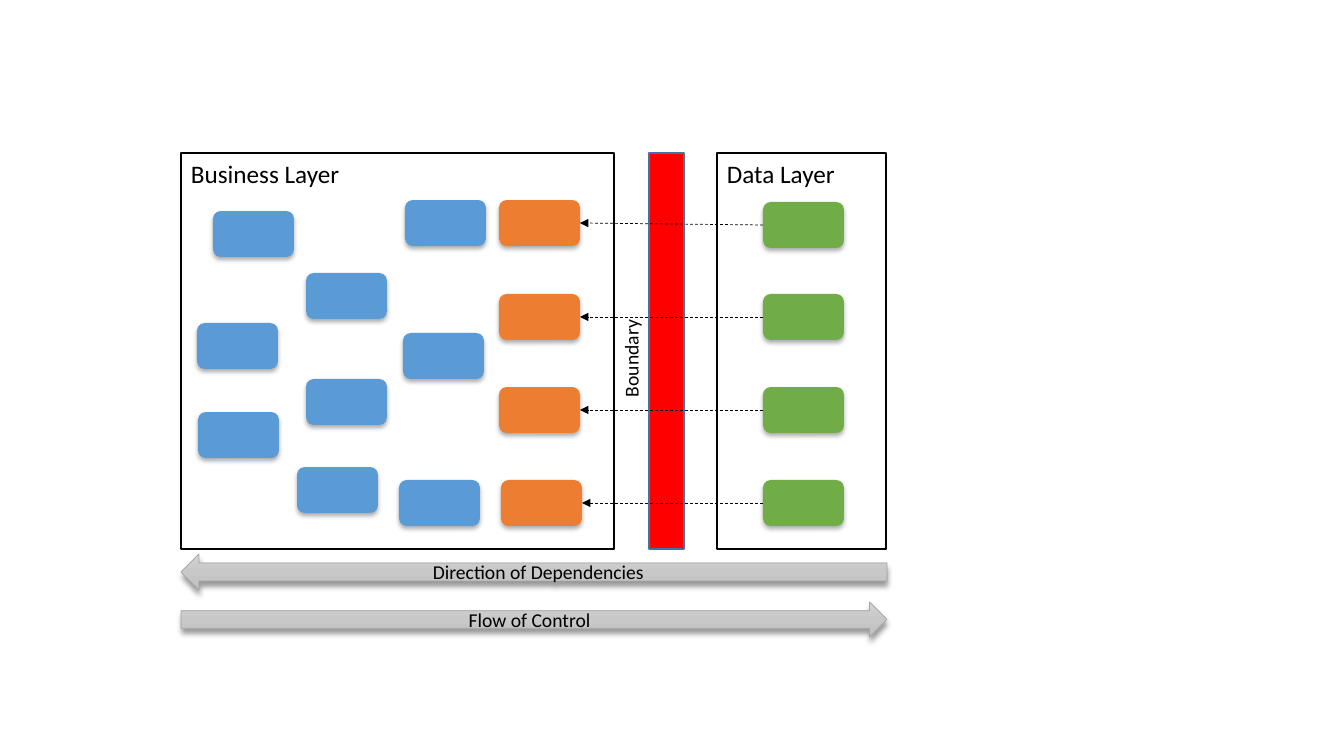
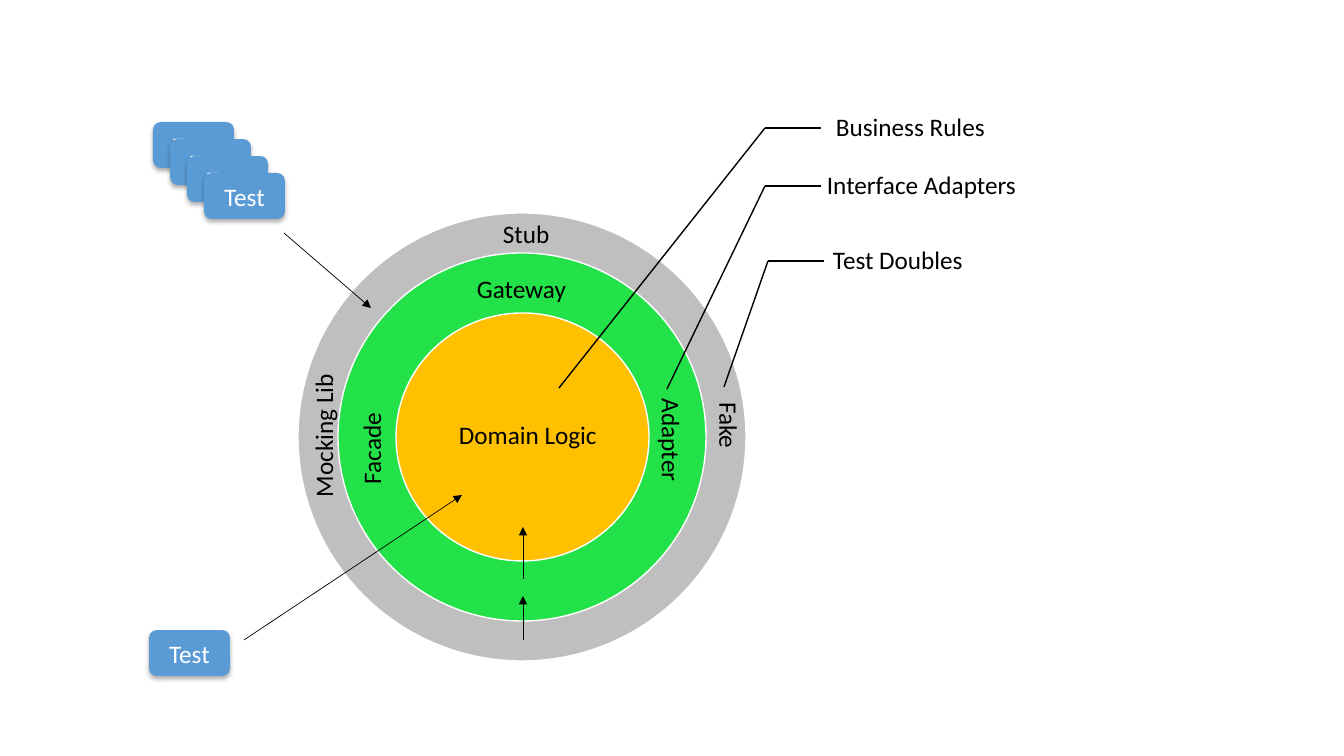
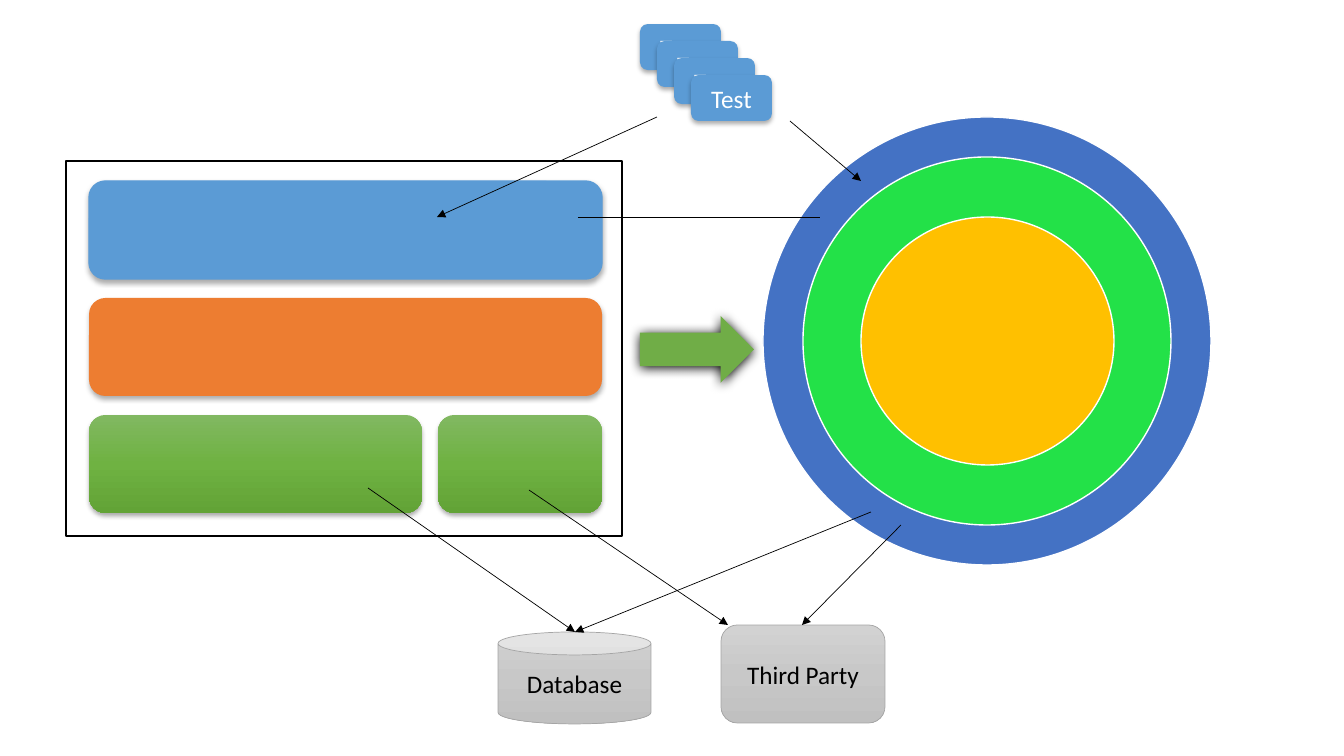
from copy import deepcopy
from dataclasses import dataclass

from lxml.etree import SubElement
from pptx import Presentation
from pptx.dml.color import RGBColor
from pptx.enum.dml import MSO_LINE
from pptx.enum.shapes import MSO_CONNECTOR, MSO_SHAPE as Preset
from pptx.enum.text import MSO_ANCHOR as Anchor, MSO_AUTO_SIZE as AutoSize, PP_ALIGN as Align
from pptx.oxml.ns import qn
from pptx.util import Pt

EMU_PER_PIXEL = 914400 / 100.8
FONT = "Calibri"
BLACK = RGBColor(0x00, 0x00, 0x00)
WHITE = RGBColor(0xFF, 0xFF, 0xFF)
BLUE = RGBColor(0x5B, 0x9B, 0xD5)
DEEP_BLUE = RGBColor(0x44, 0x72, 0xC4)
STEEL = RGBColor(0x43, 0x73, 0x9E)
ORANGE = RGBColor(0xED, 0x7D, 0x31)
GREEN = RGBColor(0x70, 0xAD, 0x47)
LIME = RGBColor(0x23, 0xE1, 0x48)
GOLD = RGBColor(0xFF, 0xC0, 0x00)
RED = RGBColor(0xFF, 0x00, 0x00)
SILVER = RGBColor(0xBF, 0xBF, 0xBF)
GRAY = RGBColor(0xA5, 0xA5, 0xA5)
GRAY_FADE = (RGBColor(0xD2, 0xD2, 0xD2), RGBColor(0xC8, 0xC8, 0xC8), RGBColor(0xC0, 0xC0, 0xC0))
GREEN_FADE = (RGBColor(0x81, 0xB8, 0x61), RGBColor(0x6F, 0xB2, 0x42), RGBColor(0x62, 0xA3, 0x36))
SOFT_SHADOW = (32, 3.5, 2.2)
ARROW_SHADOW = (40, 4, 3)
STRONG_SHADOW = (100, 8.5, 1)
CHIP_WIDTH, CHIP_HEIGHT = 81, 46


@dataclass
class Box:
    left: int
    top: int
    width: int
    height: int

    def inner(self, left, top, width, height):
        return Box(self.left + left, self.top + top, width, height)

    def point(self, left, top):
        return self.left + left, self.top + top

    def emu(self):
        return [px(n) for n in (self.left, self.top, self.width, self.height)]


def px(pixels):
    return round(pixels * EMU_PER_PIXEL)


def write(frame, text, size, color, align, anchor):
    frame.word_wrap = True
    frame.vertical_anchor = anchor
    para = frame.paragraphs[0]
    para.alignment = align
    span = para.add_run()
    span.text = text
    span.font.name = FONT
    span.font.size = Pt(size)
    span.font.color.rgb = color
    return para


def paint_gradient(shape, colors):
    shape.fill.gradient()
    shape.fill.gradient_angle = 270
    stops = shape.element.spPr.find(".//" + qn("a:gsLst"))
    stops.append(deepcopy(stops[0]))
    for stop, position, color in zip(shape.fill.gradient_stops, (0, 0.5, 1), colors):
        stop.position = position
        stop.color.rgb = color


def cast_shadow(shape, opacity, blur, distance):
    effects = shape.element.spPr.find(qn("a:effectLst"))
    outer = SubElement(effects, qn("a:outerShdw"), blurRad=str(Pt(blur)), dist=str(Pt(distance)),
                       dir="5400000", algn="ctr", rotWithShape="0")
    color = SubElement(outer, qn("a:srgbClr"), val=str(BLACK))
    SubElement(color, qn("a:alpha"), val=str(opacity * 1000))


def add_figure(page, preset, box, fill, line=None, width=1, shadow=None):
    shape = page.shapes.add_shape(preset, *box.emu())
    if isinstance(fill, RGBColor):
        shape.fill.solid()
        shape.fill.fore_color.rgb = fill
    else:
        paint_gradient(shape, fill)
    if line is None:
        shape.line.fill.background()
    else:
        shape.line.color.rgb = line
        shape.line.width = Pt(width)
    shape.shadow.inherit = False
    if shadow:
        cast_shadow(shape, *shadow)
    return shape


def add_caption(shape, text, size=18, color=BLACK):
    write(shape.text_frame, text, size, color, Align.CENTER, Anchor.MIDDLE)


def add_label(page, box, text, size=18, rotation=0):
    label = page.shapes.add_textbox(*box.emu())
    label.rotation = rotation
    write(label.text_frame, text, size, BLACK, Align.LEFT, Anchor.TOP)
    label.text_frame.auto_size = AutoSize.SHAPE_TO_FIT_TEXT
    return label


def add_line(page, start, end, width=0.5, arrow=True, dashed=False):
    line = page.shapes.add_connector(MSO_CONNECTOR.STRAIGHT, *[px(n) for n in (*start, *end)])
    line.line.color.rgb = BLACK
    line.line.width = Pt(width)
    if dashed:
        line.line.dash_style = MSO_LINE.DASH
    properties = line.element.spPr
    if arrow:
        SubElement(properties.find(qn("a:ln")), qn("a:tailEnd"), type="triangle")
    SubElement(properties, qn("a:effectLst"))


def add_chip(page, left, top, color=BLUE, text=None):
    box = Box(left, top, CHIP_WIDTH, CHIP_HEIGHT)
    chip = add_figure(page, Preset.ROUNDED_RECTANGLE, box, color, shadow=SOFT_SHADOW)
    if text:
        add_caption(chip, text, color=WHITE)


def add_test_stack(page, left, top, count=4, step=17):
    for index in range(count):
        add_chip(page, left + index * step, top + index * step, text="Test")


def add_panel(page, box, title=None):
    panel = add_figure(page, Preset.RECTANGLE, box, WHITE, BLACK)
    if title:
        write(panel.text_frame, title, 18, BLACK, Align.LEFT, Anchor.TOP)


def add_layer(page, box, title, chips):
    add_panel(page, box, title)
    for color, spots in chips.items():
        for spot in spots:
            add_chip(page, *box.point(*spot), color)


def add_flow_arrow(page, preset, box, text):
    arrow = add_figure(page, preset, box, GRAY_FADE, GRAY, 0.5, ARROW_SHADOW)
    add_caption(arrow, text, 14)


def add_rings(page, box, outer_color):
    rings = (
        (box, outer_color),
        (box.inner(40, 40, 368, 368), LIME),
        (box.inner(98, 100, 253, 248), GOLD),
    )
    for ring, color in rings:
        add_figure(page, Preset.OVAL, ring, color, WHITE)


def add_ring_labels(page, box):
    labels = (
        ("Gateway", 169, 55, 128, 0),
        ("Facade", 9, 197, 128, 270),
        ("Adapter", 310, 220, 128, 90),
        ("Domain Logic", 151, 201, 171, 0),
        ("Stub", 195, 0, 75, 0),
        ("Fake", 394, 197, 75, 90),
        ("Mocking Lib", -48, 201, 146, 270),
    )
    for text, left, top, width, rotation in labels:
        add_label(page, box.inner(left, top, width, 40), text, rotation=rotation)


def add_callout(page, box, text, knee_left, tip):
    label = page.shapes.add_textbox(*box.emu())
    frame = label.text_frame
    frame.margin_left = px(14)
    frame.margin_top = frame.margin_right = frame.margin_bottom = px(3)
    para = write(frame, text, 18, BLACK, Align.LEFT, Anchor.MIDDLE)
    para.line_spacing = 0.9
    knee = (knee_left, box.top + box.height // 2)
    add_line(page, knee, (knee[0] + 56, knee[1]), 1, arrow=False)
    add_line(page, knee, tip, 1, arrow=False)


def add_architecture(page, box):
    add_panel(page, box)
    bars = (
        (0, 23, 513, BLUE, BLUE),
        (1, 23, 513, ORANGE, None),
        (2, 23, 333, GREEN_FADE, None),
        (2, 372, 164, GREEN_FADE, None),
    )
    for row, left, width, fill, line in bars:
        bar = box.inner(left, 20 + row * 117, width, 98)
        add_figure(page, Preset.ROUNDED_RECTANGLE, bar, fill, line, shadow=SOFT_SHADOW)


def add_external(page, preset, box, text):
    add_caption(add_figure(page, preset, box, GRAY_FADE, GRAY, 0.5), text)


def build_layers(page):
    business = Box(181, 153, 433, 396)
    data = Box(717, 153, 169, 396)
    blue_spots = ((16, 170), (32, 58), (116, 314), (17, 259), (222, 180),
                  (125, 120), (125, 226), (218, 327), (224, 47))
    ports = ((318, 47), (318, 141), (318, 234), (320, 327))
    adapters = ((46, 49), (46, 141), (46, 234), (46, 327))
    add_figure(page, Preset.RECTANGLE, Box(649, 153, 35, 396), RED, STEEL)
    add_layer(page, business, "Business Layer", {BLUE: blue_spots, ORANGE: ports})
    add_layer(page, data, "Data Layer", {GREEN: adapters})
    for port, adapter in zip(ports, adapters):
        start = data.point(adapter[0], adapter[1] + CHIP_HEIGHT // 2)
        end = business.point(port[0] + CHIP_WIDTH, port[1] + CHIP_HEIGHT // 2)
        add_line(page, start, end, dashed=True)
    boundary = add_label(page, Box(614, 286, 44, 121), "Boundary", 14)
    boundary.element.find(".//" + qn("a:bodyPr")).set("vert", "vert270")
    add_flow_arrow(page, Preset.RIGHT_ARROW, Box(181, 602, 706, 35), "Flow of Control")
    add_flow_arrow(page, Preset.LEFT_ARROW, Box(181, 554, 706, 36), "Direction of Dependencies")


def build_test_doubles(page):
    rings = Box(298, 213, 448, 448)
    add_rings(page, rings, SILVER)
    add_callout(page, Box(822, 95, 224, 67), "Business Rules", 765, (559, 388))
    add_callout(page, Box(813, 145, 224, 82), "Interface Adapters", 765, (667, 389))
    add_callout(page, Box(819, 226, 224, 70), "Test Doubles", 768, (724, 387))
    add_ring_labels(page, rings)
    for start, end in ((427, 383), (366, 314)):
        add_line(page, rings.point(225, start), rings.point(225, end))
    add_test_stack(page, 153, 122)
    add_line(page, (284, 233), (371, 308))
    add_chip(page, 149, 630, text="Test")
    add_line(page, (244, 640), (462, 495))


def build_migration(page):
    add_rings(page, Box(763, 117, 448, 448), DEEP_BLUE)
    add_architecture(page, Box(66, 161, 556, 375))
    add_external(page, Preset.CAN, Box(498, 632, 153, 92), "Database")
    add_external(page, Preset.ROUNDED_RECTANGLE, Box(721, 625, 164, 98), "Third Party")
    add_line(page, (578, 217), (820, 217), arrow=False)
    add_test_stack(page, 640, 24)
    arrows = (
        ((657, 117), (437, 217)),
        ((790, 121), (861, 181)),
        ((368, 488), (575, 632)),
        ((529, 490), (728, 625)),
        ((901, 525), (802, 625)),
        ((871, 512), (575, 632)),
    )
    for start, end in arrows:
        add_line(page, start, end)
    add_figure(page, Preset.RIGHT_ARROW, Box(640, 316, 114, 67), GREEN, shadow=STRONG_SHADOW)


deck = Presentation()
deck.slide_width, deck.slide_height = px(1344), px(756)
for build in (build_layers, build_test_doubles, build_migration):
    build(deck.slides.add_slide(deck.slide_layouts[6]))
deck.save("out.pptx")
